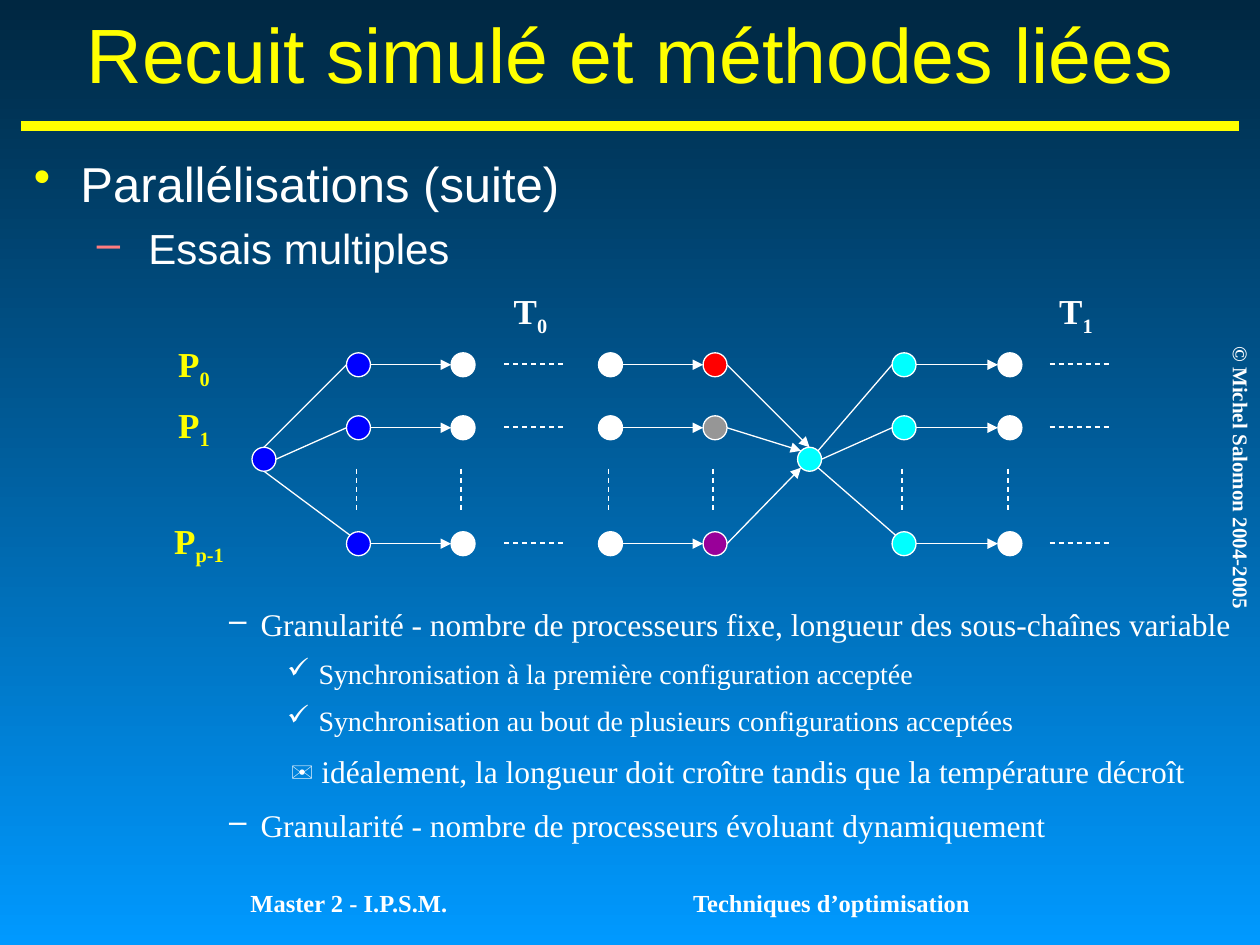
from math import cos, radians, sin

from lxml import etree
from pptx import Presentation
from pptx.dml.color import RGBColor
from pptx.enum import dml, shapes, text
from pptx.oxml.ns import qn
from pptx.util import Inches, Pt

COLORS = {
    "night": "002741", "sky": "0099FF", "white": "FFFFFF", "yellow": "FFFF00",
    "salmon": "FF7C80", "blue": "0000FF", "cyan": "00FFFF", "red": "FF0000",
    "grey": "969696", "purple": "990099",
}
SANS, SERIF = "Arial", "Times New Roman"

TITLE = "Recuit simulé et méthodes liées"
# text, left, top, width, height, size, rotation
FOOTERS = [
    ("© Michel Salomon 2004-2005", 8.39, 3.64, 2.92, 0.3, 12, 90),
    ("Techniques d’optimisation", 4.83, 7, 3.54, 0.25, 14, 0),
    ("Master 2 - I.P.S.M.", 1, 7, 3.54, 0.25, 14, 0),
]
# runs, level, margin, hanging, size, space before, line spacing, bullet, bullet colour
HEADINGS = [
    ([("Parallélisations (suite)", SANS)], 0, 0.37, 0.37, 28, 0, 1, "•", "yellow"),
    ([("Essais multiples", SANS)], 1, 0.91, 0.41, 24, 6, 1, "–", "salmon"),
]
DETAILS = [
    ([("Granularité - nombre de processeurs fixe, longueur des sous-chaînes variable", SERIF)],
     3, 1.81, 0.25, 18, 0, 1, "–", "white"),
    ([("Synchronisation à la première configuration acceptée", SERIF)],
     4, 2.27, 0.25, 16, 4, 1.2, "✓", "white"),
    ([("Synchronisation au bout de plusieurs configurations acceptées", SERIF)],
     4, 2.27, 0.25, 16, 4, 1.2, "✓", "white"),
    ([("✉", "Calibri"),
      (" idéalement, la longueur doit croître tandis que la température décroît", SERIF)],
     3, 1.81, 0.25, 18, 4.5, 1.2, None, None),
    ([("Granularité - nombre de processeurs évoluant dynamiquement", SERIF)],
     3, 1.81, 0.25, 18, 4.5, 1.2, "–", "white"),
]
# letter, subscript, left, top, width, colour
LABELS = [
    ("P", "0", 1.25, 2.67, 0.58, "yellow"),
    ("P", "1", 1.25, 3.15, 0.58, "yellow"),
    ("P", "p-1", 1.25, 4.07, 0.66, "yellow"),
    ("T", "0", 3.92, 2.25, 0.58, "white"),
    ("T", "1", 8.25, 2.25, 0.58, "white"),
]
NODE = 0.19
ROWS = [2.8, 3.3, 4.22]
COLUMNS = [  # left, colour of each row's node
    (2.75, ["blue"] * 3),
    (3.58, ["white"] * 3),
    (4.75, ["white"] * 3),
    (5.58, ["red", "grey", "purple"]),
    (7.08, ["cyan"] * 3),
    (7.92, ["white"] * 3),
]
STEPS = [(0, 1), (2, 3), (4, 5)]  # column pairs joined by arrows
GAPS = [4, 8.33]  # left ends of the dashed continuations
START, SYNC = (2, 3.55), (6.33, 3.55)

# Angles on a node's rim, clockwise from the right
RIGHT, LOWER_RIGHT, BOTTOM, LOWER_LEFT, LEFT, UPPER_LEFT, TOP, UPPER_RIGHT = range(0, 360, 45)
# hub, column, (hub angle, column angle) for each row, does the column feed the hub
FANS = [
    (START, 0, [(TOP, LEFT), (RIGHT, LEFT), (BOTTOM, UPPER_LEFT)], False),
    (SYNC, 3, [(TOP, RIGHT), (UPPER_LEFT, RIGHT), (LOWER_LEFT, RIGHT)], True),
    (SYNC, 4, [(UPPER_RIGHT, LEFT), (RIGHT, LEFT), (LOWER_RIGHT, UPPER_LEFT)], False),
]

prs = Presentation()
prs.slide_width, prs.slide_height = Inches(10), Inches(7.5)
slide = prs.slides.add_slide(prs.slide_layouts[6])


def rgb(name):
    return RGBColor.from_string(COLORS[name])


def add_line(start, end, color="white", width=0.75, arrow=False, dashed=False):
    line = slide.shapes.add_connector(
        shapes.MSO_CONNECTOR.STRAIGHT, *(Inches(v) for v in (*start, *end)))
    line.line.color.rgb = rgb(color)
    line.line.width = Pt(width)
    if dashed:
        line.line.dash_style = dml.MSO_LINE.DASH
    sp_pr = line._element.spPr
    if arrow:
        etree.SubElement(sp_pr.find(qn("a:ln")), qn("a:tailEnd"), type="triangle")
    etree.SubElement(sp_pr, qn("a:effectLst"))


def add_node(left, top, color):
    sp = slide.shapes.add_shape(
        shapes.MSO_SHAPE.OVAL, *(Inches(v) for v in (left, top, NODE, NODE)))
    sp.shadow.inherit = False
    sp.fill.solid()
    sp.fill.fore_color.rgb = rgb(color)
    sp.line.color.rgb = rgb("white")
    sp.line.width = Pt(0.75)


def rim(node, angle):
    """Point of a node's outline at the given angle."""
    r = NODE / 2
    a = radians(angle)
    return node[0] + r + r * cos(a), node[1] + r + r * sin(a)


def add_box(left, top, width, height):
    box = slide.shapes.add_textbox(*(Inches(v) for v in (left, top, width, height)))
    box.text_frame.word_wrap = True
    return box


def add_run(p, content, font, size, color, bold=False):
    r = p.add_run()
    r.text = content
    r.font.name, r.font.size, r.font.bold = font, Pt(size), bold
    r.font.color.rgb = rgb(color)
    return r


def first_centred(box):
    p = box.text_frame.paragraphs[0]
    p.alignment = text.PP_ALIGN.CENTER
    return p


def add_outline(frame, items):
    tf = add_box(*frame).text_frame
    for i, (runs, level, margin, hanging, size, before, spacing, bullet, color) in enumerate(items):
        p = tf.add_paragraph() if i else tf.paragraphs[0]
        p.level = level
        p_pr = p._p.get_or_add_pPr()
        p_pr.set("marL", str(Inches(margin)))
        p_pr.set("indent", str(-Inches(hanging)))
        if bullet:
            bu_clr = etree.SubElement(p_pr, qn("a:buClr"))
            etree.SubElement(bu_clr, qn("a:srgbClr"), val=COLORS[color])
            etree.SubElement(p_pr, qn("a:buChar"), char=bullet)
        else:
            etree.SubElement(p_pr, qn("a:buNone"))
            p.alignment = text.PP_ALIGN.CENTER
        p.space_before = Pt(before)
        p.line_spacing = float(spacing)
        for content, font in runs:
            add_run(p, content, font, size, "white")


fill = slide.background.fill
fill.gradient()
fill.gradient_angle = 270
for stop, (position, name) in zip(fill.gradient_stops, [(0, "night"), (1, "sky")]):
    stop.position = position
    stop.color.rgb = rgb(name)

add_line((0.17, 1), (9.83, 1), "yellow", 6)
for content, left, top, width, height, size, rotation in FOOTERS:
    box = add_box(left, top, width, height)
    box.rotation = rotation
    add_run(first_centred(box), content, SERIF, size, "white", True)

title = add_box(0.17, 0, 9.67, 0.83)
title.text_frame.vertical_anchor = text.MSO_ANCHOR.MIDDLE
add_run(first_centred(title), TITLE, SANS, 44, "yellow")
add_outline((0.17, 1.17, 9.67, 1.08), HEADINGS)

add_node(*START, "blue")
add_node(*SYNC, "cyan")
for left, row_colors in COLUMNS:
    for top, color in zip(ROWS, row_colors):
        add_node(left, top, color)
    x = left + 0.08
    add_line((x, 3.72), (x, 4.05), dashed=True)

for top in ROWS:
    for a, b in STEPS:
        add_line(rim((COLUMNS[a][0], top), RIGHT), rim((COLUMNS[b][0], top), LEFT), arrow=True)
    for left in GAPS:
        add_line((left, top + 0.09), (left + 0.5, top + 0.09), dashed=True)

for hub, column, angles, feeds_hub in FANS:
    for top, (hub_angle, angle) in zip(ROWS, angles):
        ends = [rim(hub, hub_angle), rim((COLUMNS[column][0], top), angle)]
        if feeds_hub:
            ends.reverse()
        add_line(*ends, arrow=feeds_hub)

for letter, subscript, left, top, width, color in LABELS:
    p = first_centred(add_box(left, top, width, 0.48))
    add_run(p, letter, SERIF, 20, color, True)
    r = add_run(p, subscript, SERIF, 20, color, True)
    r._r.get_or_add_rPr().set("baseline", "-25000")

add_outline((0.16, 4.75, 9.84, 1.92), DETAILS)

prs.save("out.pptx")
